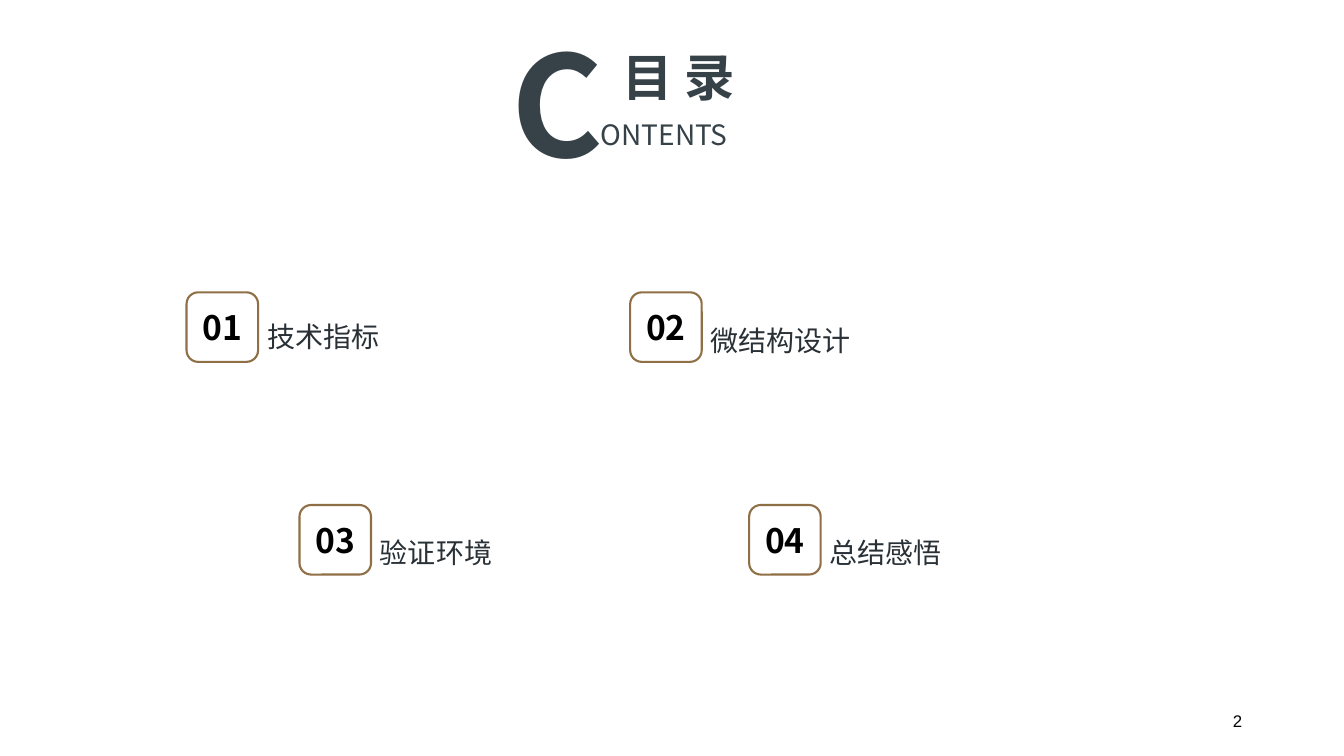
from dataclasses import dataclass

from lxml import etree
from pptx import Presentation
from pptx.dml.color import RGBColor
from pptx.enum import shapes, text
from pptx.oxml import ns
from pptx.util import Inches, Pt


@dataclass(frozen=True)
class Theme:
    font: str = "Noto Sans CJK SC"
    number_font: str = "Arial"
    heading: str = "364148"
    label: str = "293136"
    number: str = "000000"
    frame: str = "8F7046"
    initial_size: int = 100
    title_size: int = 36
    badge_size: int = 24
    label_size: int = 20
    page_size: int = 12


THEME = Theme()
ALIGN = text.PP_ALIGN
ANCHOR = text.MSO_ANCHOR


def write(sp, words, size, color, align=ALIGN.LEFT, anchor=ANCHOR.MIDDLE,
          bold=False, font=THEME.font, inset=None):
    """Put one formatted run into a shape, for Latin and East Asian text alike."""
    tf = sp.text_frame
    tf.word_wrap = True
    tf.auto_size = text.MSO_AUTO_SIZE.NONE
    tf.vertical_anchor = anchor
    if inset is not None:
        tf.margin_left = tf.margin_right = Inches(inset)
        tf.margin_top = tf.margin_bottom = Inches(inset)
    p = tf.paragraphs[0]
    p.alignment = align
    r = p.add_run()
    r.text = words
    r.font.name = font
    r.font.size = Pt(size)
    r.font.bold = bold
    r.font.color.rgb = RGBColor.from_string(color)
    etree.SubElement(r.font._element, ns.qn("a:ea"), typeface=font)


def add_text(parent, left, top, width, height, words, size, color, **style):
    sp = parent.shapes.add_textbox(Inches(left), Inches(top), Inches(width), Inches(height))
    write(sp, words, size, color, **style)


def add_heading(s, left, top):
    """Large initial on the left, title and remaining letters on the right."""
    title = s.shapes.title
    title.left, title.top = Inches(left + 1.92), Inches(top + 0.37)
    title.width, title.height = Inches(1.75), Inches(0.77)
    write(title, "目 录", THEME.title_size, THEME.heading,
          align=ALIGN.CENTER, anchor=ANCHOR.BOTTOM, bold=True)
    add_text(s, left, top, 2.04, 2.07, "C", THEME.initial_size, THEME.heading,
             align=ALIGN.RIGHT, bold=True, inset=0)
    add_text(s, left + 1.92, top + 1.15, 1.75, 0.44, "ONTENTS", THEME.label_size,
             THEME.heading, align=ALIGN.JUSTIFY, anchor=ANCHOR.TOP)


def add_item(s, left, top, number, label, label_shift):
    """Group a numbered badge with its label; label_shift moves the label down."""
    group = s.shapes.add_group_shape()
    badge = group.shapes.add_shape(shapes.MSO_SHAPE.ROUNDED_RECTANGLE, Inches(left),
                                   Inches(top), Inches(0.71), Inches(0.69))
    badge.shadow.inherit = False
    badge.fill.background()
    badge.line.color.rgb = RGBColor.from_string(THEME.frame)
    badge.line.width = Pt(1.5)
    write(badge, f"{number:02d}", THEME.badge_size, THEME.number,
          align=ALIGN.CENTER, bold=True)
    add_text(group, left + 0.7, top + label_shift, 2.95, 0.73, label,
             THEME.label_size, THEME.label, anchor=ANCHOR.BOTTOM)


def add_page_number(s, left, top, number):
    add_text(s, left, top, 3, 0.4, str(number), THEME.page_size, THEME.number,
             align=ALIGN.RIGHT, font=THEME.number_font)


def add_contents_slide(prs):
    s = prs.slides.add_slide(prs.slide_layouts[5])
    add_heading(s, 3.94, -0.03)
    items = [
        (1.85, 2.9, "技术指标", -0.08),
        (6.25, 2.9, "微结构设计", -0.04),
        (2.97, 5.01, "验证环境", -0.04),
        (7.43, 5.01, "总结感悟", -0.04),
    ]
    for number, (left, top, label, shift) in enumerate(items, 1):
        add_item(s, left, top, number, label, shift)
    add_page_number(s, 9.42, 6.95, 2)


def main():
    prs = Presentation()
    prs.slide_width, prs.slide_height = Inches(13.33), Inches(7.5)
    add_contents_slide(prs)
    prs.save("out.pptx")


if __name__ == "__main__":
    main()
